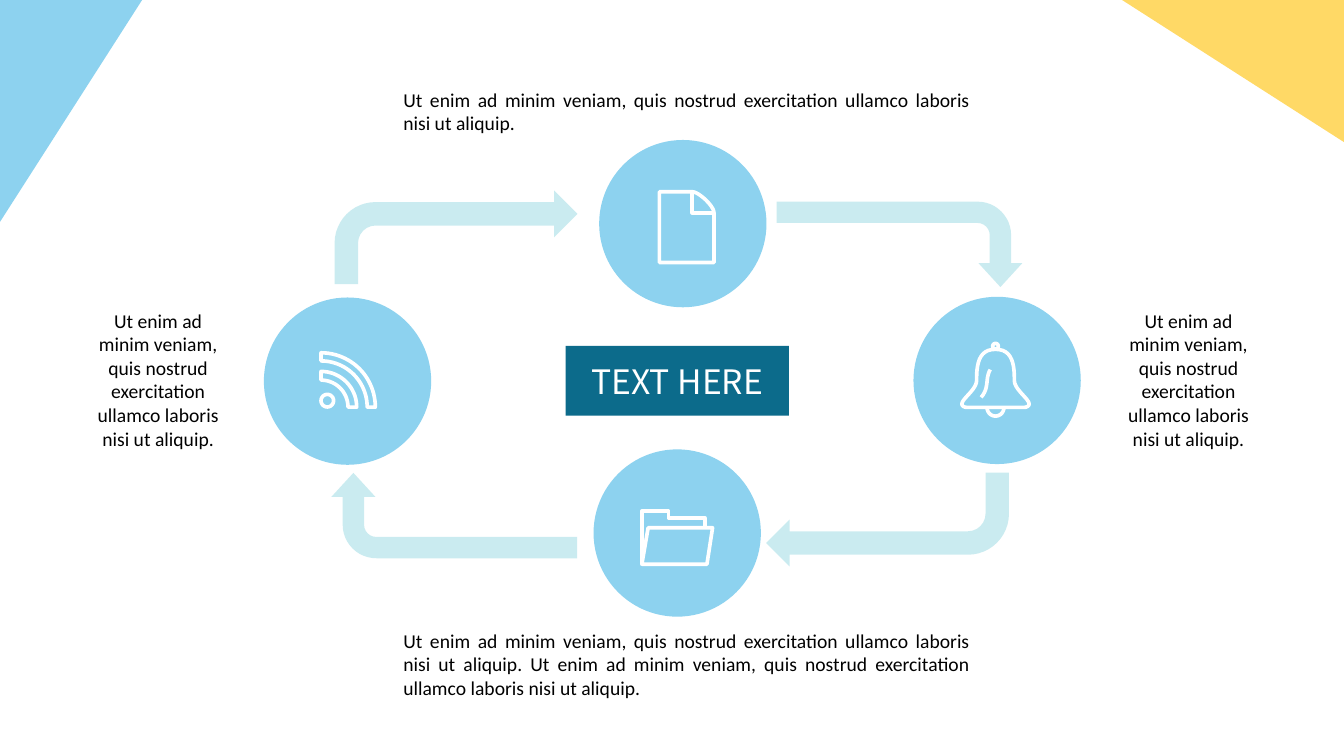
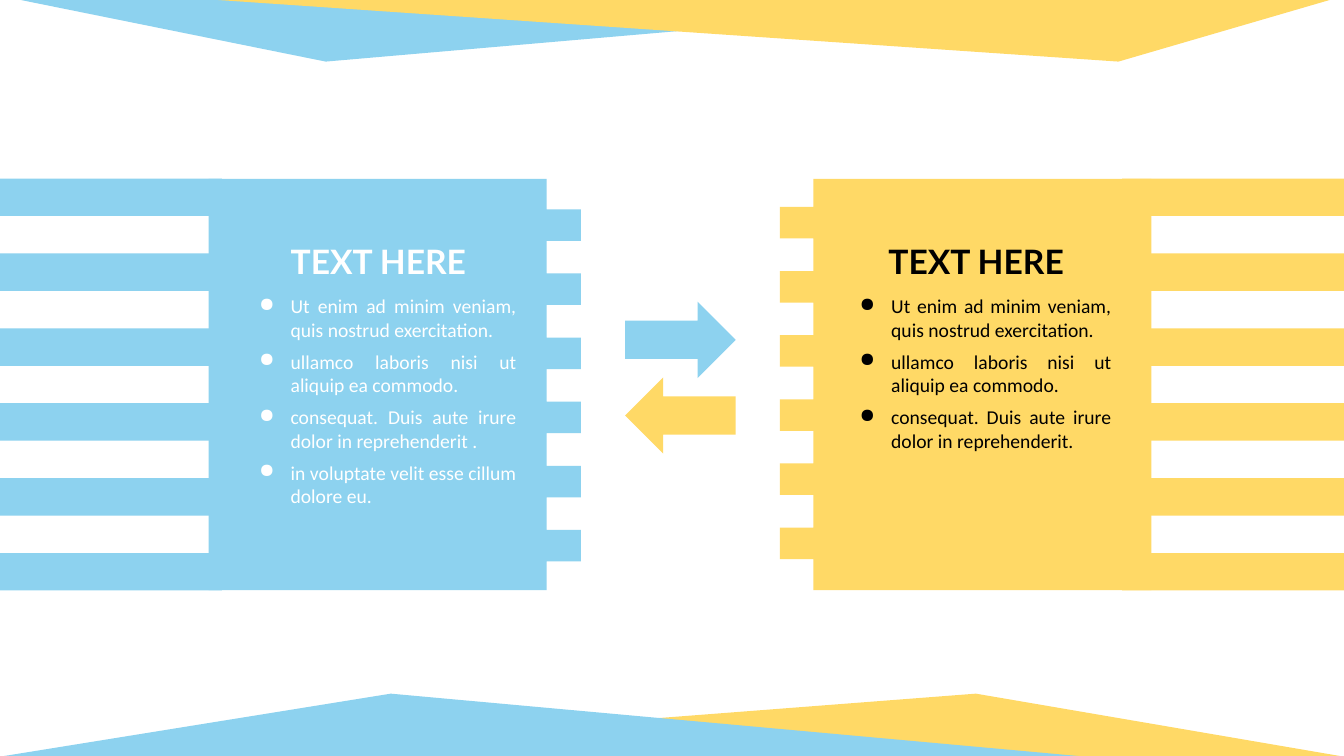
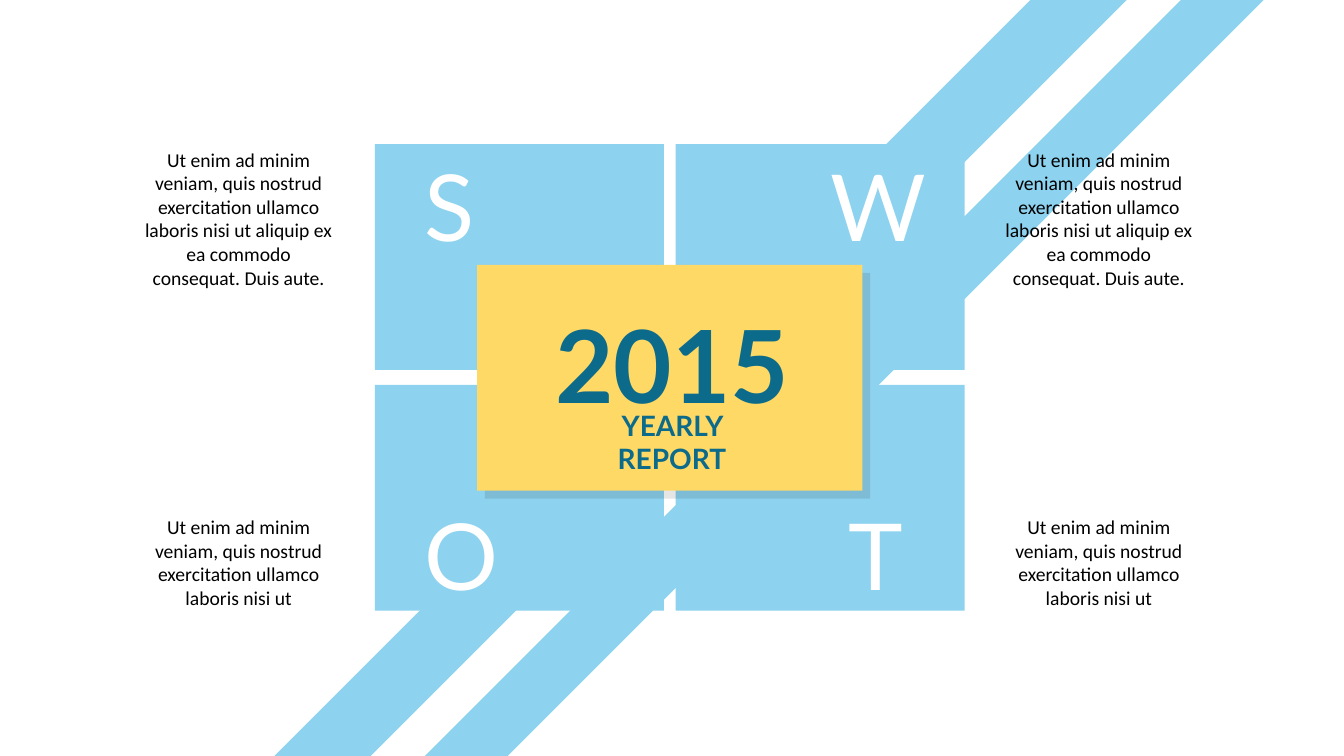
from math import cos, radians, sin

from lxml import etree
from pptx import Presentation
from pptx.dml import color
from pptx.enum import shapes as kinds, text as txt
from pptx.oxml import ns
from pptx.util import Pt

BLUE, GOLD, TEAL = "8DD2EF", "FFD966", "0C6B8B"
MINT, WHITE, BLACK = "4ABDCC", "FFFFFF", "000000"
KIND, ALIGN = kinds.MSO_SHAPE, txt.PP_ALIGN
LOREM = "Ut enim ad minim veniam, quis nostrud exercitation ullamco laboris nisi ut"
SHORT = LOREM + " aliquip."
LONG = LOREM + " aliquip ex ea commodo consequat. Duis aute."


def rgb(code):
    """Turn a hex string into a colour."""
    return color.RGBColor.from_string(code)


def sub(node, tag, **attrs):
    """Add an XML child with attributes."""
    child = etree.SubElement(node, ns.qn(tag))
    for key, value in attrs.items():
        child.set(key, str(value))
    return child


def paint(shape, fill):
    """Give a shape a flat fill, with no line or shadow."""
    shape.shadow.inherit = False
    shape.fill.solid()
    shape.fill.fore_color.rgb = rgb(fill)
    shape.line.fill.background()
    return shape


def block(tree, kind, x, y, w, h, fill, turn=0, adjust=()):
    """Draw a filled preset shape."""
    shape = paint(tree.add_shape(kind, Pt(x), Pt(y), Pt(w), Pt(h)), fill)
    shape.rotation = turn
    for i, value in enumerate(adjust):
        shape.adjustments[i] = value
    return shape


def fade(shape, share):
    """Make a solid fill partly transparent."""
    tone = shape.element.spPr.find(ns.qn("a:solidFill"))[0]
    sub(tone, "a:alpha", val=share * 1000)


def shade(shape):
    """Cast a hard faint shadow to the lower right."""
    cast = sub(shape.element.spPr.find(ns.qn("a:effectLst")), "a:outerShdw",
               blurRad=0, dist=Pt(8), dir=45 * 60000, algn="tl", rotWithShape=0)
    sub(sub(cast, "a:srgbClr", val=BLACK), "a:alpha", val=10000)


def write(frame, lines, size=14, font="Calibri", ink=BLACK, bold=False,
          align=ALIGN.LEFT, after=0, bullet=None):
    """Fill a text frame with formatted paragraphs."""
    lines = [lines] if isinstance(lines, str) else lines
    for i, line in enumerate(lines):
        para = frame.add_paragraph() if i else frame.paragraphs[0]
        if bullet:
            props = para._p.get_or_add_pPr()
            props.set("marL", str(Pt(22.5)))
            props.set("indent", str(Pt(-22.5)))
            sub(props, "a:buChar", char=bullet)
        para.alignment = align
        para.space_after = Pt(after)
        run = para.add_run()
        run.text = line
        run.font.size, run.font.name, run.font.bold = Pt(size), font, bold
        run.font.color.rgb = rgb(ink)


def label(tree, lines, x, y, w, h, wrap=True, **form):
    """Place a text box."""
    frame = tree.add_textbox(Pt(x), Pt(y), Pt(w), Pt(h)).text_frame
    frame.word_wrap = wrap
    frame.auto_size = txt.MSO_AUTO_SIZE.SHAPE_TO_FIT_TEXT
    write(frame, lines, **form)


def trace(tree, paths):
    """Build one freeform from (points, closed) paths."""
    unit = 100
    build = None
    for points, closed in paths:
        spots = [(x * unit, y * unit) for x, y in points]
        if build is None:
            build = tree.build_freeform(*spots[0], scale=Pt(1) / unit)
        else:
            build.move_to(*spots[0])
        build.add_line_segments(spots[1:], close=closed)
    return build.convert_to_shape()


def icon(tree, *paths):
    """Draw a white line icon."""
    shape = trace(tree, paths)
    shape.shadow.inherit = False
    shape.fill.background()
    shape.line.width = Pt(2.6)
    shape.line.color.rgb = rgb(WHITE)
    sub(shape.element.spPr.find(ns.qn("a:ln")), "a:round")


def arc(x, y, r, start=0, end=360, steps=24):
    """List points on a circular arc, in degrees clockwise from the right."""
    turns = [radians(start + (end - start) * i / steps) for i in range(steps + 1)]
    return [(x + r * cos(t), y + r * sin(t)) for t in turns]


def curve(a, b, c, d, steps=12):
    """List points on a cubic curve."""
    spots = []
    for i in range(steps + 1):
        t = i / steps
        parts = ((1 - t) ** 3, 3 * t * (1 - t) ** 2, 3 * t * t * (1 - t), t ** 3)
        spots.append(tuple(sum(k * p[n] for k, p in zip(parts, (a, b, c, d)))
                           for n in (0, 1)))
    return spots


def page(tree):
    """Draw the page icon."""
    edge = curve((494.5, 137), (499, 137), (510, 147), (510, 152))
    icon(tree, ([(471, 137), *edge, (510, 187.5), (471, 187.5)], True),
         ([(494.5, 137), (494.5, 152), (510, 152)], False))


def folder(tree):
    """Draw the folder icon."""
    icon(tree, ([(458.5, 403), (458.5, 365), (477.5, 365), (477.5, 370),
                 (503.5, 370), (503.5, 377)], False),
         ([(463, 377), (509, 377), (505, 403), (458.5, 403)], True))


def feed(tree):
    """Draw the feed icon."""
    x, y = 229.3, 290.8
    bands = [(arc(x, y, far, -90, 0) + arc(x, y, near, 0, -90), True)
             for far, near in ((38.8, 33), (25.5, 19.3))]
    icon(tree, *bands, (arc(233.8, 286.2, 4.5), True))


def bell(tree):
    """Draw the bell icon."""
    mid = 711.1
    half = (curve((0, 249.5), (12.5, 249.5), (13.5, 261), (13.5, 272))
            + curve((13.5, 272), (13.5, 278), (24, 285), (24, 288.5))
            + curve((24, 288.5), (24, 290.5), (21.5, 291), (20, 291)))
    body = ([(mid + x, y) for x, y in half]
            + [(mid - x, y) for x, y in reversed(half)])
    sheen = curve((707.4, 264), (703.5, 270), (707, 277), (700.8, 283.8))
    icon(tree, (body, True), (sheen, False), (arc(mid, 247.3, 2), True),
         (arc(mid, 291.2, 6, 0, 180), False))


def cycle(tree):
    """Draw the four-step cycle slide."""
    for x, y in ((424, 321), (428, 100), (188.5, 212.5), (652.5, 212)):
        block(tree, KIND.OVAL, x, y, 119.5, 119.5, BLUE)
    slim = (0.25, 0.257, 0.28, 0.393)
    for x, y, w, h, turn, adjust in (
            (239, 136, 173.5, 67, 0, ()), (547.2, 337.6, 173.5, 67, 180, ()),
            (612, 86.8, 61, 175.5, 90, slim), (294, 280.5, 61, 175.5, 270, slim)):
        fade(block(tree, KIND.BENT_ARROW, x, y, w, h, MINT, turn, adjust), 29)
    hub = block(tree, KIND.RECTANGLE, 404, 247, 159.5, 50, TEAL).text_frame
    hub.vertical_anchor = txt.MSO_ANCHOR.MIDDLE
    write(hub, "TEXT HERE", size=24, font="Noto Sans CJK SC", ink=WHITE,
          align=ALIGN.CENTER)
    for draw in (bell, page, folder, feed):
        draw(tree)
    block(tree, KIND.RIGHT_TRIANGLE, -28.5, 28.5, 158.5, 101.5, BLUE, 90)
    block(tree, KIND.RIGHT_TRIANGLE, 801.5, 0, 158.5, 101.5, GOLD, 180)
    for x in (62, 798):
        label(tree, SHORT, x, 217, 102, 109, align=ALIGN.CENTER, after=6)
    for line, y, h in ((SHORT, 59, 41), (f"{SHORT} {SHORT}", 445.5, 58)):
        label(tree, line, 281, y, 419, h, align=ALIGN.JUSTIFY, after=6)


def comb(tree, back, front, tip, first, fill):
    """Draw a panel with six teeth on its front edge."""
    top, foot, step, tall = 127.7, 421.5, 45.8, 22.5
    points = [(back, top), (front, top)]
    for i in range(6):
        y = first + i * step
        points += [(front, y), (tip, y), (tip, y + tall), (front, y + tall)]
    points += [(front, foot), (back, foot)]
    paint(trace(tree, [(points, True)]), fill)


def bars(tree, x, fill):
    """Draw a group of six stripes."""
    group = tree.add_group_shape().shapes
    for i in range(6):
        block(group, KIND.RECTANGLE, x, 127.5 + i * 53.5, 158.5, 26.8, fill)


def trade(tree):
    """Draw the two-panel exchange slide."""
    comb(tree, 149, 390.5, 415, 149.5, BLUE)
    comb(tree, 822.5, 581, 557, 147.8, GOLD)
    bars(tree, 0, BLUE)
    bars(tree, 801.5, GOLD)
    block(tree, KIND.RIGHT_ARROW, 446.5, 215.5, 79, 54.5, BLUE)
    block(tree, KIND.RIGHT_ARROW, 446.5, 269.5, 79, 54.5, GOLD, 180)
    start = ["Ut enim ad minim veniam, quis nostrud exercitation.",
             "ullamco laboris nisi ut aliquip ea commodo."]
    left = start + ["consequat. Duis aute irure dolor in reprehenderit .",
                    "in voluptate velit esse cillum dolore eu."]
    right = start + ["consequat. Duis aute irure dolor in reprehenderit."]
    for head, x, w, h, lines, ink in ((200.5, 178, 198, 161, left, WHITE),
                                      (627.5, 607, 194, 121, right, BLACK)):
        label(tree, "TEXT HERE", head, 168.5, 140, 36, wrap=False, size=24,
              font="Lato", ink=ink, bold=True)
        label(tree, lines, x, 206.5, w, h, ink=ink, align=ALIGN.JUSTIFY,
              after=6, bullet="●")
    for x, y, w, h, fill, turn, peak in (
            (0, -3, 775.5, 47, BLUE, 180, 0.7), (112, -3, 848, 47, GOLD, 180, 0.19),
            (112, 495.5, 848, 45, GOLD, 0, 0.69), (0, 495.5, 775.5, 45, BLUE, 0, 0.36)):
        block(tree, KIND.ISOSCELES_TRIANGLE, x, y, w, h, fill, turn, (peak,))


def swot(tree):
    """Draw the yearly SWOT slide."""
    for side in (656.5, 764):
        block(tree, KIND.DIAGONAL_STRIPE, 960 - side, 540 - side, side, side,
              BLUE, 180, (0.91,))
    grid = tree.add_group_shape().shapes
    for x in (267.8, 482.5):
        for y in (103, 275):
            block(grid, KIND.RECTANGLE, x, y, 206.5, 161.3, BLUE)
    shade(block(tree, KIND.RECTANGLE, 340.8, 189.2, 275.2, 161.3, GOLD))
    for mark, x, y in (("S", 296.5, 103), ("W", 586, 103),
                       ("O", 296.5, 352), ("T", 599, 352)):
        label(tree, mark, x, y, 52.5, 87, size=66, font="Lato", ink=WHITE)
    for x in (94.5, 709):
        for line, y, h in ((LONG, 102, 109), (LOREM, 364.5, 75)):
            label(tree, line, x, y, 152, h, align=ALIGN.CENTER, after=6)
    title = dict(font="Lato", ink=TEAL, bold=True, align=ALIGN.CENTER)
    label(tree, "YEARLY REPORT", 405, 288, 150, 56, size=20, **title)
    label(tree, "2015", 389.5, 212.5, 181.5, 94, wrap=False, size=72, **title)


def main():
    """Build and save the deck."""
    deck = Presentation()
    deck.slide_width, deck.slide_height = Pt(960), Pt(540)
    for draw in (cycle, trade, swot):
        draw(deck.slides.add_slide(deck.slide_layouts[6]).shapes)
    deck.save("out.pptx")


if __name__ == "__main__":
    main()
